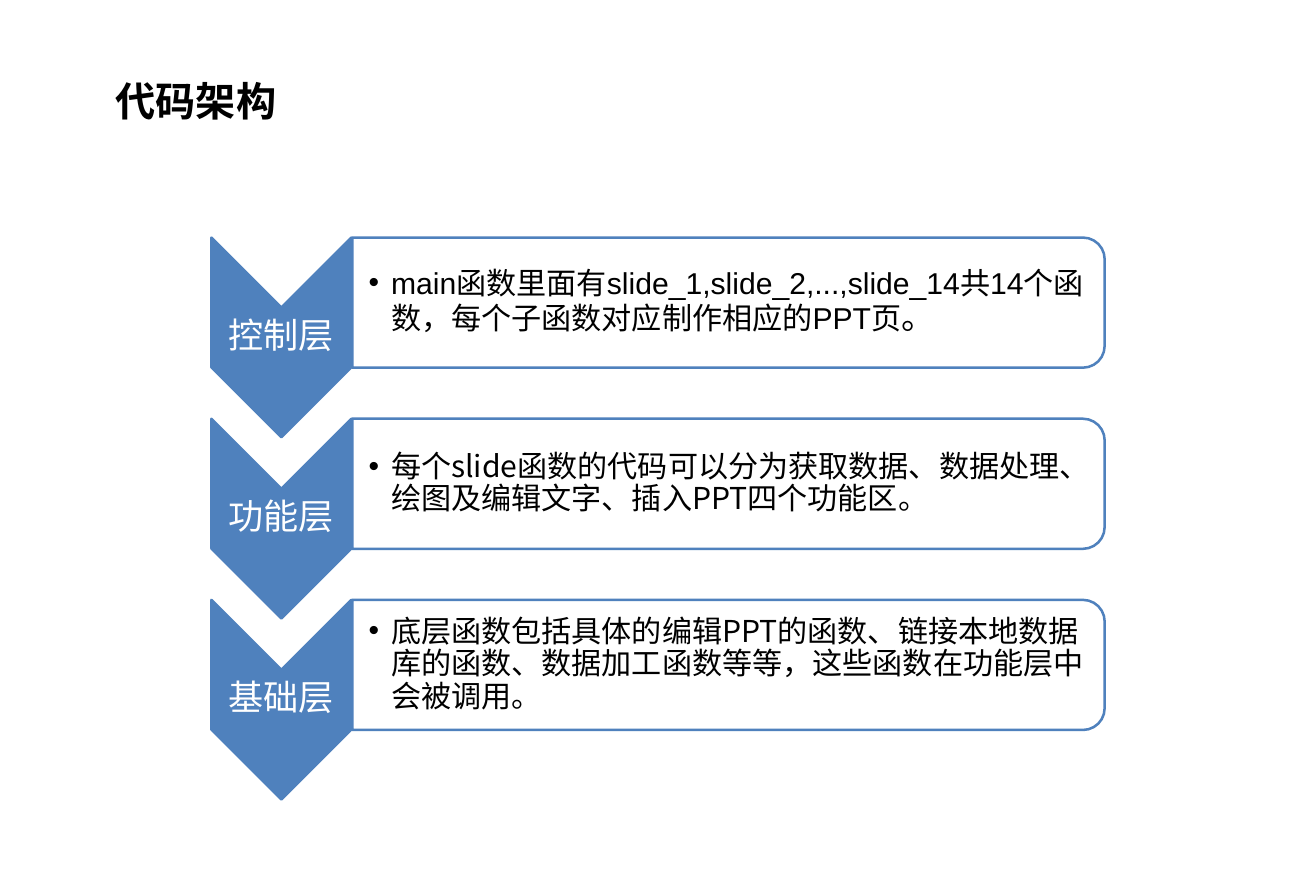
from dataclasses import dataclass

from lxml import etree
from pptx import Presentation
from pptx.dml.color import RGBColor
from pptx.enum.lang import MSO_LANGUAGE_ID
from pptx.enum.shapes import MSO_SHAPE
from pptx.enum.text import MSO_ANCHOR, MSO_AUTO_SIZE, PP_ALIGN
from pptx.oxml.ns import qn
from pptx.util import Inches, Pt

CHEVRON = MSO_SHAPE.CHEVRON
ROUNDED_TOP = MSO_SHAPE.ROUND_2_SAME_RECTANGLE
TOP, MIDDLE = MSO_ANCHOR.TOP, MSO_ANCHOR.MIDDLE
LEFT, CENTER = PP_ALIGN.LEFT, PP_ALIGN.CENTER
NO_AUTOFIT = MSO_AUTO_SIZE.NONE
CHINESE = MSO_LANGUAGE_ID.SIMPLIFIED_CHINESE
TITLE_ONLY = 5

LAYER_TOP, LAYER_STEP = 2.63, 2.005
LAYERS = [
    ("控制层", "Arial", 27,
     "main函数里面有slide_1,slide_2,...,slide_14共14个函数，每个子函数对应制作相应的PPT页。"),
    ("功能层", "Noto Sans CJK SC", 24,
     "每个slide函数的代码可以分为获取数据、数据处理、绘图及编辑文字、插入PPT四个功能区。"),
    ("基础层", "Noto Sans CJK SC", 24,
     "底层函数包括具体的编辑PPT的函数、链接本地数据库的函数、数据加工函数等等，这些函数在功能层中会被调用。"),
]


@dataclass(frozen=True)
class Theme:
    accent: RGBColor = RGBColor(0x4F, 0x81, 0xBD)
    white: RGBColor = RGBColor(0xFF, 0xFF, 0xFF)
    black: RGBColor = RGBColor(0, 0, 0)
    chinese_font: str = "Noto Sans CJK SC"
    label_font: str = "Quicksand"
    title_size: int = 32
    label_size: int = 28
    body_size: int = 24
    outline: int = 2


class ArchitectureSlide:
    def __init__(self, slide, theme):
        self.slide = slide
        self.theme = theme

    def format_run(self, run, font_name, size, color, bold=False):
        font = run.font
        font.name, font.size, font.bold = font_name, Pt(size), bold
        font.color.rgb = color
        font.language_id = CHINESE
        east_asian = etree.Element(qn("a:ea"), typeface=self.theme.chinese_font)
        run._r.rPr.find(qn("a:latin")).addnext(east_asian)

    def title(self, wording):
        heading = self.slide.shapes.title
        heading.left, heading.top = Inches(1.18), Inches(0.79)
        heading.width, heading.height = Inches(3.94), Inches(0.79)
        frame = heading.text_frame
        frame.text = wording
        frame.auto_size, frame.vertical_anchor = NO_AUTOFIT, TOP
        paragraph = frame.paragraphs[0]
        paragraph.alignment = LEFT
        self.format_run(paragraph.runs[0], self.theme.chinese_font,
                        self.theme.title_size, self.theme.black, bold=True)

    def turned_shape(self, preset, left, top, width, height, fill):
        """Place a preset turned by 90 degrees; the box given is the visible one."""
        shape = self.slide.shapes.add_shape(
            preset,
            Inches(left + (width - height) / 2), Inches(top + (height - width) / 2),
            Inches(height), Inches(width))
        shape.rotation = 90
        shape.shadow.inherit = False
        shape.fill.solid()
        shape.fill.fore_color.rgb = fill
        shape.line.color.rgb = self.theme.accent
        shape.line.width = Pt(self.theme.outline)
        return shape

    def text(self, wording, box, left_inset, space_after):
        """Add a middle-anchored paragraph; space_after is a percentage."""
        frame = self.slide.shapes.add_textbox(*map(Inches, box)).text_frame
        frame.word_wrap = True
        frame.vertical_anchor = MIDDLE
        frame.margin_left = Inches(left_inset)
        frame.margin_top = frame.margin_right = frame.margin_bottom = Inches(0.02)
        paragraph = frame.paragraphs[0]
        paragraph.text = wording
        paragraph.line_spacing = 0.9
        after = etree.SubElement(paragraph._p.get_or_add_pPr(), qn("a:spcAft"))
        etree.SubElement(after, qn("a:spcPct"), val=str(space_after * 1000))
        return paragraph

    def layer_label(self, wording, top):
        self.turned_shape(CHEVRON, 2.34, top, 1.55, 2.21, self.theme.accent)
        label = self.text(wording, (2.34, top + 0.77, 1.55, 0.66), 0.02, 35)
        label.alignment = CENTER
        self.format_run(label.runs[0], self.theme.label_font,
                        self.theme.label_size, self.theme.white)

    def layer_panel(self, wording, top, font_name, stop_size):
        panel = self.turned_shape(ROUNDED_TOP, 3.9, top, 8.33, 1.44, self.theme.white)
        fill_color = panel._element.spPr.find(qn("a:solidFill"))[0]
        etree.SubElement(fill_color, qn("a:alpha"), val="90000")

        bullet = self.text(wording[:-1], (3.89, top + 0.07, 8.26, 1.3), 0.19, 15)
        bullet.level = 1
        properties = bullet._p.pPr
        properties.set("marL", str(Inches(0.25)))
        properties.set("indent", str(Inches(-0.25)))
        etree.SubElement(properties, qn("a:buFont"), typeface="Arial")
        etree.SubElement(properties, qn("a:buChar"), char="•")
        full_stop = bullet.add_run()
        full_stop.text = wording[-1]
        for run, size in zip(bullet.runs, (self.theme.body_size, stop_size)):
            self.format_run(run, font_name, size, self.theme.black)


def main():
    deck = Presentation()
    deck.slide_width, deck.slide_height = Inches(14.57), Inches(9.84)
    slide = deck.slides.add_slide(deck.slide_layouts[TITLE_ONLY])
    architecture = ArchitectureSlide(slide, Theme())
    architecture.title("代码架构")
    for index, (label, font_name, stop_size, description) in enumerate(LAYERS):
        top = LAYER_TOP + index * LAYER_STEP
        architecture.layer_label(label, top)
        architecture.layer_panel(description, top, font_name, stop_size)
    deck.save("out.pptx")


if __name__ == "__main__":
    main()
